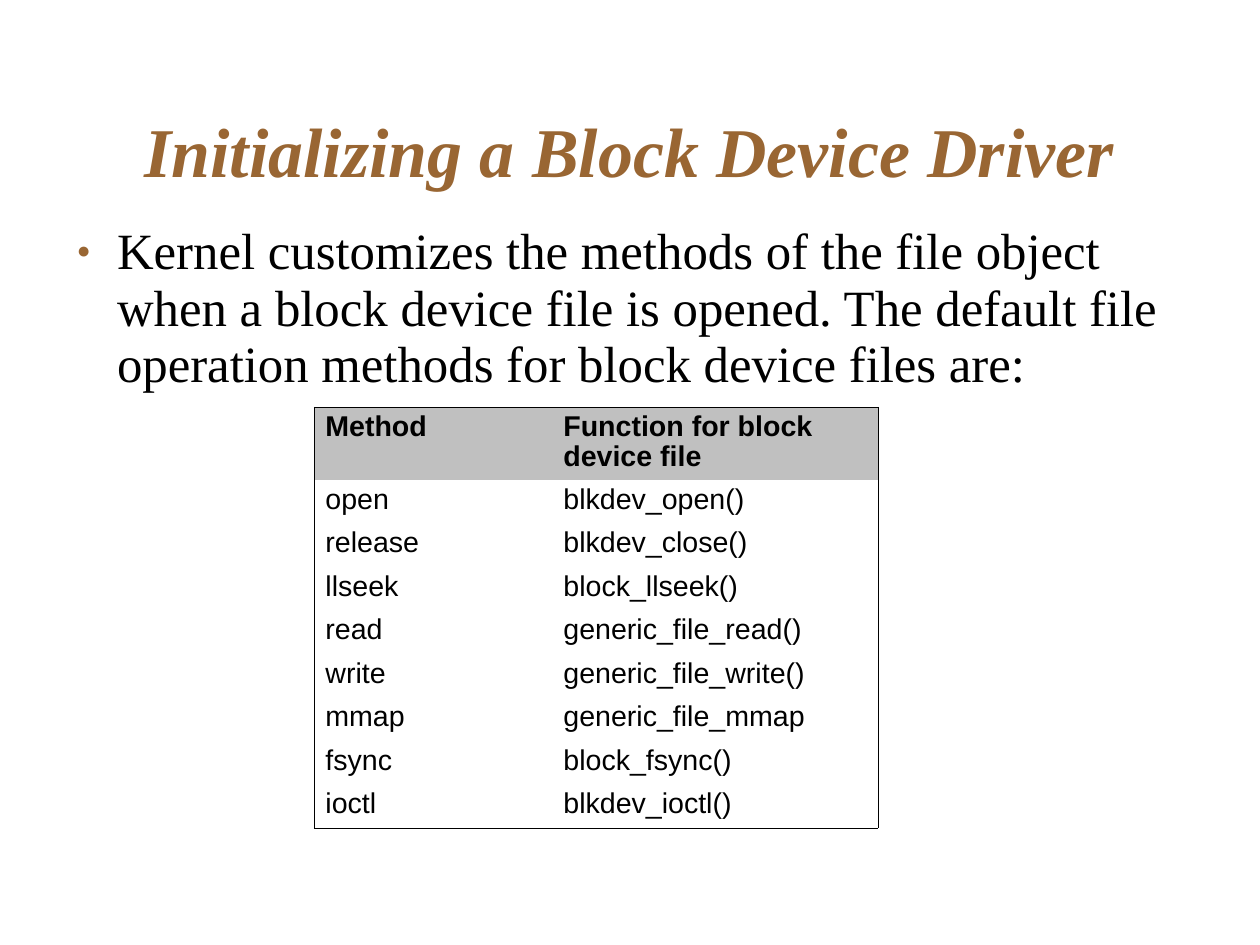
from dataclasses import dataclass

from lxml import etree
from pptx import Presentation
from pptx import util as u
from pptx.dml.color import RGBColor
from pptx.enum import text
from pptx.oxml import ns

PX = 8000  # EMU in one px
TITLE = "Initializing a Block Device Driver"
INTRO = (
    "Kernel customizes the methods of the file object when a block device file "
    "is opened. The default file operation methods for block device files are:"
)
METHODS = [
    ("Method", "Function for block device file"),
    ("open", "blkdev_open()"),
    ("release", "blkdev_close()"),
    ("llseek", "block_llseek()"),
    ("read", "generic_file_read()"),
    ("write", "generic_file_write()"),
    ("mmap", "generic_file_mmap"),
    ("fsync", "block_fsync()"),
    ("ioctl", "blkdev_ioctl()"),
]


@dataclass(frozen=True)
class Theme:
    accent: str = "996633"
    ink: str = "000000"
    header: str = "C0C0C0"
    serif: str = "Times New Roman"
    sans: str = "Arial"
    title_size: int = 44
    body_size: int = 32
    table_size: int = 18
    line_spacing: float = 0.93
    border: int = 720


def add_xml(parent, tag, **attributes):
    return etree.SubElement(parent, ns.qn(tag), attributes)


class SlideBuilder:
    def __init__(self, slide, theme):
        self.slide = slide
        self.theme = theme

    def place(self, box, left, top, width, height, inset_top):
        box.left, box.top = left * PX, top * PX
        box.width, box.height = width * PX, height * PX
        frame = box.text_frame
        frame.margin_left = frame.margin_right = frame.margin_bottom = 0
        frame.margin_top = inset_top * PX
        frame.word_wrap = True
        frame.auto_size = text.MSO_AUTO_SIZE.NONE
        return frame

    def style(self, para, font, size, color, bold=False, italic=False):
        para.line_spacing = self.theme.line_spacing
        para.space_before = u.Pt(0)
        for span in para.runs:
            span.font.name, span.font.size = font, u.Pt(size)
            span.font.bold, span.font.italic = bold, italic
            span.font.color.rgb = RGBColor.from_string(color)

    def title(self, words, *area):
        theme = self.theme
        frame = self.place(self.slide.shapes.title, *area, inset_top=5)
        frame.text = words
        frame.vertical_anchor = text.MSO_ANCHOR.MIDDLE
        para = frame.paragraphs[0]
        para.alignment = text.PP_ALIGN.CENTER
        self.style(para, theme.serif, theme.title_size, theme.accent, True, True)

    def bullet(self, words, *area):
        theme = self.theme
        frame = self.place(self.slide.placeholders[1], *area, inset_top=3)
        frame.text = words
        frame.vertical_anchor = text.MSO_ANCHOR.TOP
        para = frame.paragraphs[0]
        props = para._p.get_or_add_pPr()
        props.set("marL", str(54 * PX))
        props.set("indent", str(-40 * PX))
        add_xml(add_xml(props, "a:buClr"), "a:srgbClr", val=theme.accent)
        add_xml(props, "a:buSzPct", val="45000")
        add_xml(props, "a:buChar", char="●")
        para.space_after = u.Pt(14.3)
        self.style(para, theme.serif, theme.body_size, theme.ink)

    def table(self, rows, left, top, widths, header_height, body_height):
        """Draw a table with an outer frame; body_height is shared by the rows below the header."""
        theme = self.theme
        last_row, last_column = len(rows) - 1, len(widths) - 1
        table = self.slide.shapes.add_table(
            len(rows), len(widths), left * PX, top * PX,
            sum(widths) * PX, (header_height + body_height) * PX,
        ).table
        table.horz_banding = table.first_row = False
        for column, width in zip(table.columns, widths):
            column.width = width * PX
        for i, values in enumerate(rows):
            is_header = i == 0
            table.rows[i].height = (
                header_height * PX if is_header else body_height * PX // last_row
            )
            for j, value in enumerate(values):
                cell = table.cell(i, j)
                cell.text = value
                self.style(cell.text_frame.paragraphs[0], theme.sans,
                           theme.table_size, theme.ink, bold=is_header)
                self.borders(cell, L=j == 0, R=j == last_column,
                             T=is_header, B=i == last_row)
                if is_header:
                    cell.fill.solid()
                    cell.fill.fore_color.rgb = RGBColor.from_string(theme.header)
                else:
                    cell.fill.background()

    def borders(self, cell, **sides):
        props = cell._tc.get_or_add_tcPr()
        for side, visible in sides.items():
            line = add_xml(props, f"a:ln{side}", w=str(self.theme.border))
            if visible:
                add_xml(add_xml(line, "a:solidFill"), "a:srgbClr", val=self.theme.ink)
            else:
                add_xml(line, "a:noFill")


def main():
    deck = Presentation()
    deck.slide_width, deck.slide_height = 1260 * PX, 945 * PX
    page = SlideBuilder(deck.slides.add_slide(deck.slide_layouts[1]), Theme())
    page.title(TITLE, 90, 73, 1080, 158)
    page.bullet(INTRO, 63, 221, 1134, 613)
    page.table(METHODS, 314, 407, widths=(238, 326), header_height=73, body_height=348)
    deck.save("out.pptx")


if __name__ == "__main__":
    main()
